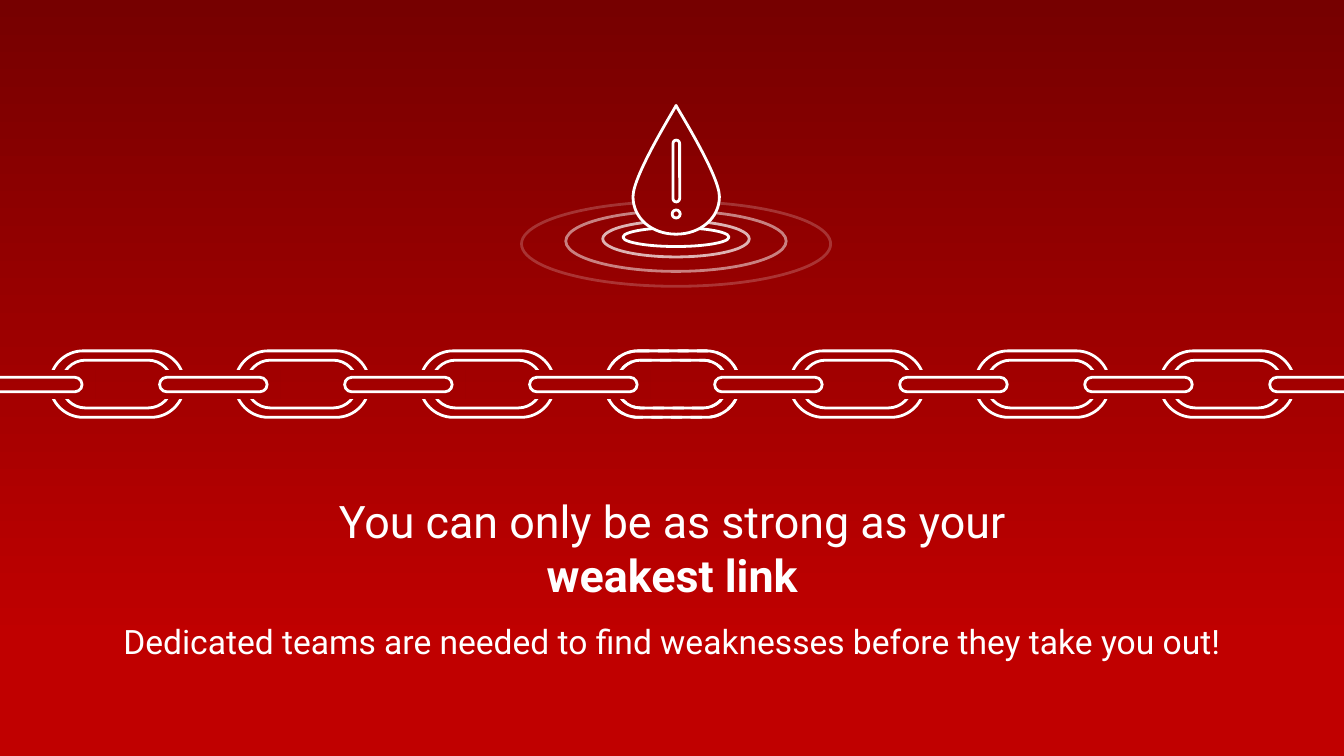
"""Build the weakest link slide: a warning drop above a chain and two lines of text."""
from pptx import Presentation, util as u
from pptx.dml.color import RGBColor
from pptx.enum import dml, shapes, text
from pptx.oxml import parse_xml
from pptx.oxml.ns import nsdecls, qn

INK = {"dark": "760000", "red": "C00000", "white": "FFFFFF"}
FONT = "Roboto"
SIZE = (720, 405)

TEXTS = [
    (260.9, 65.5, 24, ["You can only be as strong as your", "weakest link"]),
    (329, 28.8, 18, ["Dedicated teams are needed to find weaknesses before they take you out!"]),
]
RIPPLES = [
    (279.4, 108, 165.6, 45.4, 20),
    (303.1, 113, 118.1, 32.4, 50),
    (322.9, 118.3, 78.5, 19.4, 70),
    (333.7, 122, 56.9, 10.1, 100),
]
DROP = [
    (339.1, 105.4), (339.1, 93.8), (362.2, 57.2), (362.2, 56.5),
    (362.2, 57.2), (385.4, 93.8), (385.4, 105.4),
    (385.4, 117), (375.1, 125.5), (362.2, 125.5),
    (349.2, 125.5), (339.1, 117), (339.1, 105.4),
]
MARK = [("OVAL", (360.1, 112.5, 4.3, 4.3)), ("ROUNDED_RECTANGLE", (360.5, 75.1, 3.6, 33.1))]
LINKS, WEAK, PITCH = 7, 3, 99.12
OUTER = (26.8, 188, 72, 35.6)
INNER = (33, 193, 59.2, 25.6)
GAP = (-15.7, 198.6, 67, 15.1)
PIN = (-13.6, 202.1, 57.6, 7.8)
ROUND = 0.55


def tint(name):
    return RGBColor.from_string(INK[name])


def style(item, back=False, edge=True, alpha=100, dash=False):
    item.shadow.inherit = False
    if back:
        item._element.set("useBgFill", "1")
    else:
        item.fill.background()
    if not edge:
        item.line.fill.background()
        return
    item.line.width = u.Pt(1.5)
    item.line.color.rgb = tint("white")
    if dash:
        item.line.dash_style = dml.MSO_LINE.DASH
    if alpha < 100:
        tone = item.line._ln.find(".//" + qn("a:srgbClr"))
        tone.append(parse_xml(f'<a:alpha {nsdecls("a")} val="{alpha * 1000}"/>'))


def preset(slide, kind, box, **look):
    item = slide.shapes.add_shape(shapes.MSO_SHAPE[kind], *map(u.Pt, box))
    if kind == "ROUNDED_RECTANGLE":
        item.adjustments[0] = 0.5
    style(item, **look)


def outline(slide, loops, plan, **look):
    """Draw closed loops; plan names each step, L for a line and C for a curve."""
    loops = [[(u.Pt(x), u.Pt(y)) for x, y in loop] for loop in loops]
    pen = slide.shapes.build_freeform(*loops[0][0])
    for n, loop in enumerate(loops):
        if n:
            pen.move_to(*loop[0])
        pen.add_line_segments(loop[1:], close=False)
        pen._drawing_operations.append(pen._add_close() or pen._drawing_operations.pop())
    item = pen.convert_to_shape()
    bend(item, plan * len(loops))
    style(item, **look)


def bend(item, plan):
    steps = iter(item._element.findall(".//" + qn("a:lnTo")))
    for kind in plan:
        first = next(steps)
        if kind == "C":
            arc = parse_xml(f'<a:cubicBezTo {nsdecls("a")}/>')
            first.addprevious(arc)
            for step in (first, next(steps), next(steps)):
                arc.append(step[0])
                step.getparent().remove(step)


def oblong(box):
    x, y, wide, high = box
    r = high / 2
    k = r * ROUND
    left, right, mid, low = x + r, x + wide - r, y + r, y + high
    return [
        (left, y), (right, y),
        (right + k, y), (x + wide, mid - k), (x + wide, mid),
        (x + wide, mid + k), (right + k, low), (right, low),
        (left, low),
        (left - k, low), (x, mid + k), (x, mid),
        (x, mid - k), (left - k, y), (left, y),
    ]


def shift(box, n):
    return (box[0] + n * PITCH, *box[1:])


def link(slide, n, **look):
    outline(slide, [oblong(shift(box, n)) for box in (OUTER, INNER)], "LCCLCC", **look)


def label(slide, top, high, size, lines):
    box = slide.shapes.add_textbox(*map(u.Pt, (45.8, top, 628.6, high)))
    frame = box.text_frame
    frame.word_wrap = True
    frame.auto_size = text.MSO_AUTO_SIZE.SHAPE_TO_FIT_TEXT
    para = frame.paragraphs[0]
    para.text = "\v".join(lines)
    para.alignment = text.PP_ALIGN.CENTER
    for n, run in enumerate(para.runs):
        run.font.name, run.font.size = FONT, u.Pt(size)
        run.font.color.rgb = tint("white")
        run.font.bold = n > 0


def main():
    deck = Presentation()
    deck.slide_width, deck.slide_height = map(u.Pt, SIZE)
    slide = deck.slides.add_slide(deck.slide_layouts[6])
    fill = slide.background.fill
    fill.gradient()
    fill.gradient_angle = 270
    for stop, (spot, name) in zip(fill.gradient_stops, [(0, "dark"), (0.85, "red")]):
        stop.position = spot
        stop.color.rgb = tint(name)

    for *box, alpha in RIPPLES:
        preset(slide, "OVAL", box, alpha=alpha)
    outline(slide, [DROP], "CCCC", back=True)
    for kind, box in MARK:
        preset(slide, kind, box)

    for n in range(LINKS):
        link(slide, n)
    link(slide, WEAK, dash=True)
    for n in range(LINKS + 1):
        preset(slide, "RECTANGLE", shift(GAP, n), back=True, edge=False)
        preset(slide, "ROUNDED_RECTANGLE", shift(PIN, n), back=True)

    for row in TEXTS:
        label(slide, *row)
    deck.save("out.pptx")


if __name__ == "__main__":
    main()
